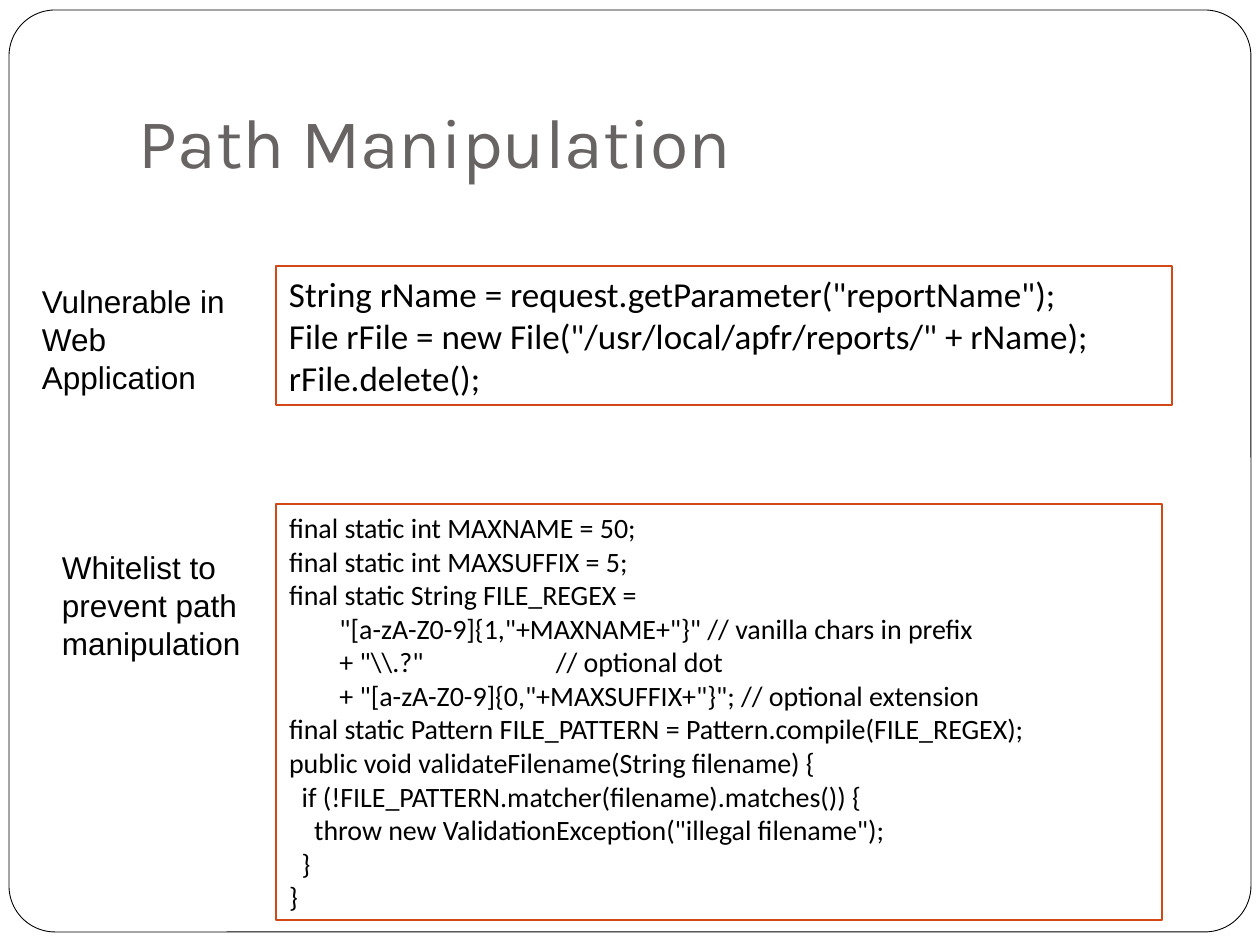
import dataclasses

import pptx
import pptx.dml.color
import pptx.enum.shapes
import pptx.enum.text
import pptx.util

EMU_PER_PX = 914400 / 126

SHAPES = pptx.enum.shapes.MSO_SHAPE
ANCHOR = pptx.enum.text.MSO_ANCHOR
ALIGN = pptx.enum.text.PP_ALIGN
AUTO_SIZE = pptx.enum.text.MSO_AUTO_SIZE
Color = pptx.dml.color.RGBColor


# Colours, fonts and type sizes
@dataclasses.dataclass(frozen=True)
class Style:
    font: str
    size: int
    color: str


@dataclasses.dataclass(frozen=True)
class Theme:
    paper: str = "FFFFFF"
    frame: str = "000000"
    code_border: str = "D34817"
    frame_width: float = 0.5
    code_border_width: float = 0.75
    title: Style = Style("Karla", 40, "696464")
    label: Style = Style("Arial", 18, "000000")
    code_large: Style = Style("Calibri", 20, "000000")
    code_small: Style = Style("Calibri", 16, "000000")


THEME = Theme()


@dataclasses.dataclass(frozen=True)
class Area:
    left: int
    top: int
    width: int
    height: int


@dataclasses.dataclass(frozen=True)
class Example:
    label: str
    label_area: Area
    code: str
    code_area: Area
    code_style: Style


# Content
TITLE = "Path Manipulation"
TITLE_AREA = Area(126, 38, 1071, 157)
FRAME_AREA = Area(9, 10, 1242, 922)

VULNERABLE_CODE = """\
String rName = request.getParameter("reportName");
File rFile = new File("/usr/local/apfr/reports/" + rName);
rFile.delete();"""

WHITELIST_CODE = r"""final static int MAXNAME = 50;
final static int MAXSUFFIX = 5;
final static String FILE_REGEX =
        "[a-zA-Z0-9]{1,"+MAXNAME+"}" // vanilla chars in prefix
        + "\\.?"                     // optional dot
        + "[a-zA-Z0-9]{0,"+MAXSUFFIX+"}"; // optional extension
final static Pattern FILE_PATTERN = Pattern.compile(FILE_REGEX);
public void validateFilename(String filename) {
  if (!FILE_PATTERN.matcher(filename).matches()) {
    throw new ValidationException("illegal filename");
  }
}"""

EXAMPLES = [
    Example("Vulnerable in Web Application", Area(29, 276, 237, 126),
            VULNERABLE_CODE, Area(276, 266, 896, 139), THEME.code_large),
    Example("Whitelist to prevent path manipulation", Area(49, 542, 217, 126),
            WHITELIST_CODE, Area(276, 504, 886, 416), THEME.code_small),
]


def px(length: int) -> pptx.util.Emu:
    return pptx.util.Emu(round(length * EMU_PER_PX))


def place(area: Area) -> tuple:
    return tuple(px(length) for length in dataclasses.astuple(area))


def set_all(target, values: dict) -> None:
    for name, value in values.items():
        setattr(target, name, value)


def write(box, text: str, style: Style, **frame_format) -> None:
    """Fill a box with one paragraph for each line of text."""
    frame = box.text_frame
    set_all(frame, {
        "word_wrap": True,
        "auto_size": AUTO_SIZE.SHAPE_TO_FIT_TEXT,
        "margin_left": px(13), "margin_right": px(13),
        "margin_top": px(6), "margin_bottom": px(6),
        **frame_format,
    })
    for index, line in enumerate(text.split("\n")):
        para = frame.add_paragraph() if index else frame.paragraphs[0]
        para.alignment = ALIGN.LEFT
        span = para.add_run()
        span.text = line
        set_all(span.font, {"name": style.font,
                            "size": pptx.util.Pt(style.size)})
        span.font.color.rgb = Color.from_string(style.color)


def add_outline(page, kind, area: Area, color: str, width: float):
    box = page.shapes.add_shape(kind, *place(area))
    box.shadow.inherit = False
    box.fill.background()
    box.line.color.rgb = Color.from_string(color)
    box.line.width = pptx.util.Pt(width)
    return box


def add_text(page, text: str, area: Area, style: Style, **frame_format) -> None:
    box = page.shapes.add_textbox(*place(area))
    write(box, text, style, **frame_format)


def add_example(page, example: Example) -> None:
    box = add_outline(page, SHAPES.RECTANGLE, example.code_area,
                      THEME.code_border, THEME.code_border_width)
    write(box, example.code, example.code_style, vertical_anchor=ANCHOR.MIDDLE)
    add_text(page, example.label, example.label_area, THEME.label)


def main() -> None:
    deck = pptx.Presentation()
    set_all(deck, {"slide_width": px(1260), "slide_height": px(945)})
    page = deck.slides.add_slide(deck.slide_layouts[6])

    # Rounded page frame
    frame = add_outline(page, SHAPES.ROUNDED_RECTANGLE, FRAME_AREA,
                        THEME.frame, THEME.frame_width)
    frame.adjustments[0] = 0.05
    frame.fill.solid()
    frame.fill.fore_color.rgb = Color.from_string(THEME.paper)

    # Title
    add_text(page, TITLE, TITLE_AREA, THEME.title, auto_size=AUTO_SIZE.NONE,
             vertical_anchor=ANCHOR.BOTTOM, margin_bottom=px(13))

    # Labelled code examples
    for example in EXAMPLES:
        add_example(page, example)

    deck.save("out.pptx")


if __name__ == "__main__":
    main()
